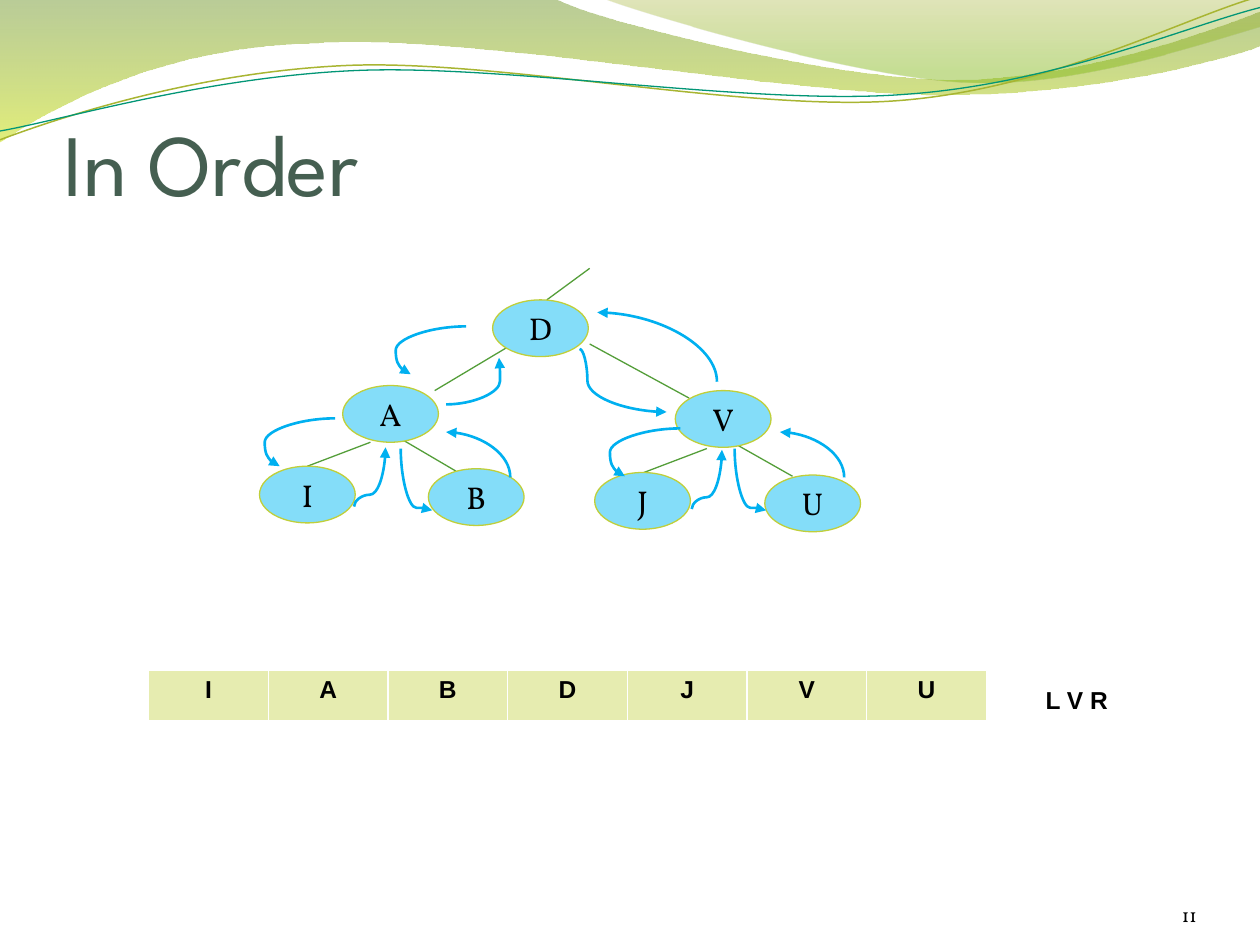
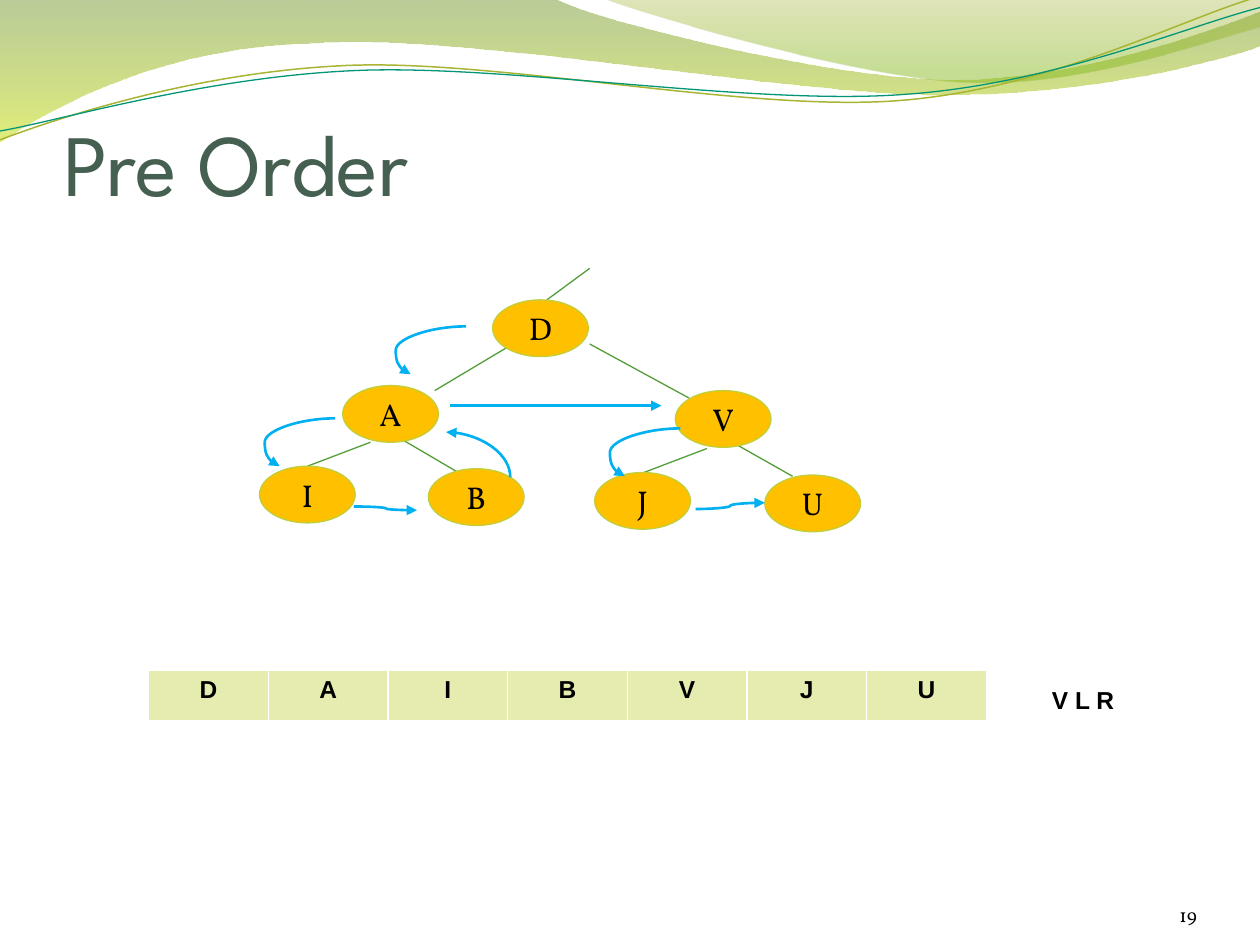
from lxml import etree
from pptx import Presentation
from pptx.dml.color import RGBColor
from pptx.enum import shapes, text
from pptx.oxml import ns
from pptx.util import Inches, Pt

COLOURS = {"title": "455F51", "ink": "000000", "edge": "C0CF3A", "branch": "549E39",
           "arrow": "00B0F0", "cell": "E6ECB0", "border": "FFFFFF"}
TITLE = {"name": "League Spartan", "size": Pt(50)}
SERIF = {"name": "Vollkorn", "size": Pt(18)}
FOOTER = {"name": "Vollkorn", "size": Pt(11)}
BOLD = {"name": "Arial", "size": Pt(14), "bold": True}

# A wave is a start point, then segments: 2 numbers for a line, 6 for a curve.
# Gradient stops are position, colour and opacity in percent.
BANDS = [
    ((0, 0), [(4.4, -0.01), (4.75, 0.17, 6.63, 0.63, 7.58, 0.63),
              (8.53, 0.63, 9.58, 0.26, 10, 0.09), (10.01, 0.36),
              (9.83, 0.44, 8.69, 0.76, 7.46, 0.75), (6.22, 0.75, 3.81, 0.28, 2.57, 0.34),
              (1.29, 0.36, 0.46, 0.83, -0.01, 1.13)],
     [(0, "668F1B", 45), (100, "CAE00E", 55)]),
    ((4.79, -0.01), [(5.09, 0.11, 6.82, 0.62, 7.68, 0.65),
                     (8.55, 0.69, 9.61, 0.32, 10, 0.21), (10, 0)],
     [(0, "99A719", 30), (80, "80B814", 45), (100, "80B814", 45)]),
]
STRANDS = [
    ((0, 1.11), [(0.48, 0.93, 1.57, 0.57, 2.76, 0.52), (3.95, 0.47, 5.92, 0.89, 7.12, 0.8),
                 (8.33, 0.71, 9.38, 0.15, 9.97, -0.02)], "A8B532", 0.85),
    ((0, 1.04), [(0.47, 0.96, 1.63, 0.61, 2.83, 0.56), (4.02, 0.51, 5.97, 0.84, 7.17, 0.75),
                 (8.36, 0.67, 9.41, 0.21, 10, 0.06)], "029676", 0.75),
]

NODES = {"D": (3.91, 2.38), "I": (2.06, 3.7), "B": (3.4, 3.72), "A": (2.72, 3.06),
         "V": (5.36, 3.1), "J": (4.72, 3.75), "U": (6.07, 3.77)}
BRANCHES = [((4.68, 2.13), (4.34, 2.38)), ((4.02, 2.76), (3.45, 3.1)),
            ((4.68, 2.73), (5.47, 3.16)), ((2.94, 3.51), (2.44, 3.7)),
            ((3.16, 3.47), (3.62, 3.74)), ((5.61, 3.56), (5.11, 3.75)),
            ((5.83, 3.52), (6.29, 3.78))]

# Curved arrows: start, end, bend as a share of the way (None for a quarter turn), upright start
SHARED_STEPS = [
    ((3.7, 2.59), (3.26, 2.97), 1.27, False),
    ((2.66, 3.32), (2.22, 3.7), 1.27, False),
    ((4.05, 3.79), (3.54, 3.43), None, True),
    ((5.4, 3.4), (4.96, 3.78), 1.27, False),
]
IN_ORDER_STEPS = [
    ((2.81, 4.02), (3.06, 3.55), 0.2, True),
    ((3.18, 3.56), (3.43, 4.05), 0.96, True),
    ((3.54, 3.21), (3.96, 2.84), 1.02, False),
    ((4.6, 2.77), (5.29, 3.27), 0.09, False),
    ((5.49, 4.04), (5.73, 3.57), 0.2, True),
    ((5.83, 3.56), (6.08, 4.05), 0.96, True),
    ((6.7, 3.79), (6.19, 3.43), None, True),
    ((5.69, 3.03), (4.74, 2.48), None, True),
]
PRE_ORDER_STEPS = [
    ((2.81, 4.02), (3.31, 4.05), 0.5, False),
    ((5.52, 4.04), (6.07, 3.99), 0.5, False),
]


def rgb(colour):
    return RGBColor.from_string(COLOURS.get(colour, colour))


def assign(target, values):
    for name, value in values.items():
        setattr(target, name, value)


def add_xml(parent, tag, **attributes):
    return etree.SubElement(parent, ns.qn(tag), attributes)


class TreeDeck:
    def __init__(self):
        self.deck = Presentation()
        assign(self.deck, {"slide_width": Inches(10), "slide_height": Inches(7.5)})
        self.layout = self.deck.slide_layouts[5]
        self.page = None
        self.wave_index = 2

    def start_page(self, title, number):
        first = self.page is None
        self.page = self.deck.slides.add_slide(self.layout)
        if first:
            self.waves()
        box = self.page.shapes.title
        assign(box, {"left": Inches(0.5), "top": Inches(0.45),
                     "width": Inches(9), "height": Inches(1.25)})
        bottom = {"vertical_anchor": text.MSO_ANCHOR.BOTTOM, "margin_left": 0,
                  "margin_right": 0, "margin_bottom": 0}
        self.set_text(box.text_frame, title, TITLE, "title", text.PP_ALIGN.LEFT,
                      margin_top=Inches(0.05), **bottom)
        self.label(number, 8.67, 6.95, 0.83, 0.4, FOOTER, text.PP_ALIGN.RIGHT,
                   margin_top=0, **bottom)

    def add_span(self, frame, words, font, colour="ink", align=text.PP_ALIGN.CENTER):
        para = frame.paragraphs[0]
        para.alignment = align
        span = para.add_run()
        span.text = words
        assign(span.font, font)
        span.font.color.rgb = rgb(colour)

    def set_text(self, frame, words, font, colour="ink", align=text.PP_ALIGN.CENTER, **layout):
        assign(frame, {"word_wrap": True, "auto_size": text.MSO_AUTO_SIZE.NONE, **layout})
        self.add_span(frame, words, font, colour, align)

    def label(self, words, left, top, width, height, font, align=text.PP_ALIGN.LEFT, **layout):
        box = self.page.shapes.add_textbox(*map(Inches, (left, top, width, height)))
        self.set_text(box.text_frame, words, font, align=align, **layout)

    def wave(self, start, segments, closed):
        """Draw a curved outline and move it to the layout, behind everything."""
        points = [tuple(map(Inches, segment[i:i + 2]))
                  for segment in segments for i in range(0, len(segment), 2)]
        builder = self.page.shapes.build_freeform(*map(Inches, start), scale=1.0)
        builder.add_line_segments(points, close=closed)
        shape = builder.convert_to_shape()
        shape.shadow.inherit = False
        steps = iter(shape.element.findall(".//" + ns.qn("a:lnTo")))
        for segment in segments:
            step = next(steps)
            if len(segment) == 6:
                step.tag = ns.qn("a:cubicBezTo")
                for extra in (next(steps), next(steps)):
                    step.append(extra[0])
                    extra.getparent().remove(extra)
        self.layout.shapes.element.insert(self.wave_index, shape.element)
        self.wave_index += 1
        return shape

    def waves(self):
        for start, segments, stops in BANDS:
            shape = self.wave(start, segments, True)
            shape.line.fill.background()
            shape.fill.gradient()
            shape.fill.gradient_angle = 270
            stop_list = shape.element.find(".//" + ns.qn("a:gsLst"))
            for old in list(stop_list):
                stop_list.remove(old)
            for position, colour, opacity in stops:
                stop = add_xml(stop_list, "a:gs", pos=str(position * 1000))
                tint = add_xml(stop, "a:srgbClr", val=colour)
                add_xml(tint, "a:alpha", val=str(opacity * 1000))
        for start, segments, colour, width in STRANDS:
            shape = self.wave(start, segments, False)
            shape.fill.background()
            self.stroke(shape, colour, width)

    def stroke(self, shape, colour, width):
        shape.line.color.rgb = rgb(colour)
        shape.line.width = Pt(width)

    def connect(self, holder, kind, start, end, colour, width, arrow=False):
        connector = holder.add_connector(kind, *map(Inches, (*start, *end)))
        self.stroke(connector, colour, width)
        properties = connector.element.spPr
        if arrow:
            add_xml(properties.find(ns.qn("a:ln")), "a:tailEnd", type="triangle")
        add_xml(properties, "a:effectLst")
        return connector

    def arrow(self, start, end):
        self.connect(self.page.shapes, shapes.MSO_CONNECTOR.STRAIGHT, start, end,
                     "arrow", 1.5, True)

    def curve(self, start, end, bend, upright):
        """Draw a curved arrow; an upright one is laid flat, then turned by 270 degrees."""
        if upright:
            (x1, y1), (x2, y2) = start, end
            x, y, dx, dy = (x1 + x2) / 2, (y1 + y2) / 2, (x2 - x1) / 2, (y2 - y1) / 2
            start, end = (x + dy, y - dx), (x - dy, y + dx)
        connector = self.connect(self.page.shapes, shapes.MSO_CONNECTOR.CURVE, start, end,
                                 "arrow", 1.5, True)
        properties = connector.element.spPr
        if upright:
            properties.find(ns.qn("a:xfrm")).set("rot", str(270 * 60000))
        preset = properties.find(ns.qn("a:prstGeom"))
        if bend is None:
            preset.set("prst", "curvedConnector2")
        else:
            guides = preset.find(ns.qn("a:avLst"))
            if guides is None:
                guides = add_xml(preset, "a:avLst")
            add_xml(guides, "a:gd", name="adj1", fmla=f"val {round(bend * 100000)}")

    def tree(self, fill):
        group = self.page.shapes.add_group_shape()
        for start, end in BRANCHES:
            self.connect(group.shapes, shapes.MSO_CONNECTOR.STRAIGHT, start, end, "branch", 0.75)
        for letter, (left, top) in NODES.items():
            node = group.shapes.add_shape(shapes.MSO_SHAPE.OVAL,
                                          *map(Inches, (left, top, 0.76, 0.45)))
            node.shadow.inherit = False
            node.fill.solid()
            node.fill.fore_color.rgb = rgb(fill)
            self.stroke(node, "edge", 0.75)
            self.set_text(node.text_frame, letter, SERIF,
                          vertical_anchor=text.MSO_ANCHOR.MIDDLE)

    def visit_table(self, letters):
        frame = self.page.shapes.add_table(1, len(letters), Inches(1.18), Inches(5.32),
                                           Inches(0.95 * len(letters)), Inches(0.41))
        assign(frame.table, {"first_row": False, "horz_banding": False})
        for cell, letter in zip(frame.table.iter_cells(), letters):
            self.add_span(cell.text_frame, letter, BOLD)
            cell.fill.solid()
            cell.fill.fore_color.rgb = rgb("cell")
        for properties in frame.element.iter(ns.qn("a:tcPr")):
            for place, (side, width) in enumerate({"L": 1, "R": 1, "T": 1, "B": 3}.items()):
                line = add_xml(properties, f"a:ln{side}", w=str(int(Pt(width))))
                add_xml(add_xml(line, "a:solidFill"), "a:srgbClr", val=COLOURS["border"])
                properties.insert(place, line)

    def traversal(self, title, number, fill, letters, rule, rule_left, steps):
        self.start_page(title, number)
        self.tree(fill)
        self.visit_table(letters)
        self.label(rule, rule_left, 5.39, 1.55, 0.34, BOLD)
        for step in SHARED_STEPS + steps:
            self.curve(*step)


def main():
    show = TreeDeck()
    show.traversal("In Order", "11", "84DDF9", "IABDJVU", "L V R", 8.2, IN_ORDER_STEPS)
    show.traversal("Pre Order", "19", "FFC000", "DAIBVJU", "V L R", 8.25, PRE_ORDER_STEPS)
    show.arrow((3.57, 3.22), (5.25, 3.22))
    show.deck.save("out.pptx")


if __name__ == "__main__":
    main()
